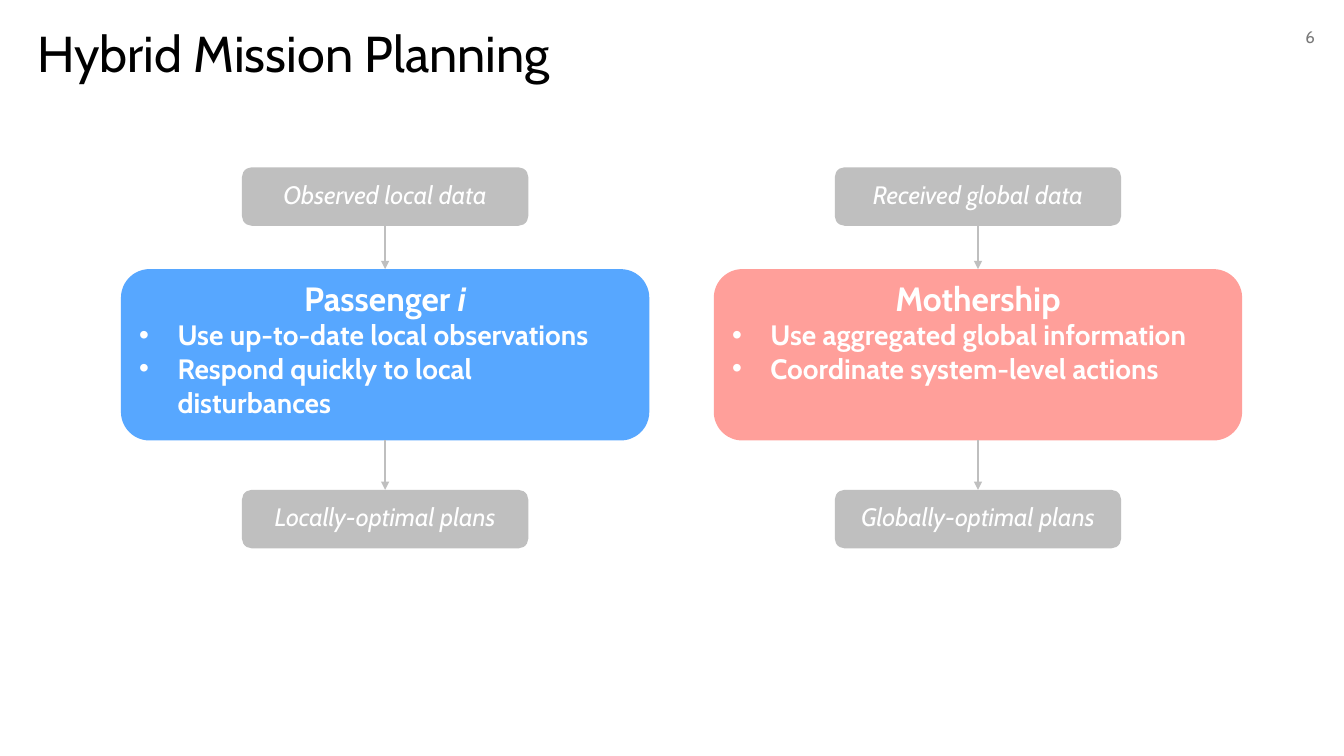
from lxml import etree
from pptx import Presentation
from pptx.dml.color import RGBColor
from pptx.enum.shapes import MSO_CONNECTOR, MSO_SHAPE
from pptx.enum.text import MSO_ANCHOR, PP_ALIGN
from pptx.oxml.ns import qn
from pptx.util import Pt

ROUNDED = MSO_SHAPE.ROUNDED_RECTANGLE
STRAIGHT = MSO_CONNECTOR.STRAIGHT
TOP, MIDDLE = MSO_ANCHOR.TOP, MSO_ANCHOR.MIDDLE
LEFT, CENTER, RIGHT = PP_ALIGN.LEFT, PP_ALIGN.CENTER, PP_ALIGN.RIGHT
TOP_SIDE, BOTTOM_SIDE = 0, 2

BLACK = RGBColor(0x00, 0x00, 0x00)
WHITE = RGBColor(0xFF, 0xFF, 0xFF)
GRAY = RGBColor(0xBF, 0xBF, 0xBF)
NUMBER_GRAY = RGBColor(0x79, 0x79, 0x79)
BLUE = RGBColor(0x57, 0xA7, 0xFF)
PINK = RGBColor(0xFF, 0x9F, 0x9A)
FONT = "Cabin"

# Content
TITLE = "Hybrid Mission Planning"
PAGE_NUMBER = "6"
PLANNERS = [
    {
        "input": "Observed local data",
        "heading": [("Passenger ", False), ("i", True)],
        "points": ["Use up-to-date local observations",
                   "Respond quickly to local disturbances"],
        "output": "Locally-optimal plans",
        "color": BLUE,
    },
    {
        "input": "Received global data",
        "heading": [("Mothership", False)],
        "points": ["Use aggregated global information",
                   "Coordinate system-level actions"],
        "output": "Globally-optimal plans",
        "color": PINK,
    },
]

# Layout in px, 100 to the inch
EMU_PER_PX = 9144
PAGE_WIDTH, PAGE_HEIGHT = 1333, 750
CARD_LEFT, CARD_TOP, CARD_WIDTH, CARD_HEIGHT = 120, 267, 524, 170
COLUMN_STEP = 588
DATA_WIDTH, DATA_HEIGHT = 284, 58
INPUT_TOP, OUTPUT_TOP = 166, 486
SIDE_INSET, BOTTOM_INSET = 10, 5
BULLET_INDENT = 38


def px(length):
    return length * EMU_PER_PX


def set_font(font, size, color, bold=False, italic=None):
    font.name = FONT
    font.size = Pt(size)
    font.color.rgb = color
    font.bold = bold
    font.italic = italic


def add_label(page, text, left, top, width, height, size, color, align, anchor):
    box = page.shapes.add_textbox(px(left), px(top), px(width), px(height))
    frame = box.text_frame
    frame.word_wrap = True
    frame.vertical_anchor = anchor
    para = frame.paragraphs[0]
    para.text = text
    para.alignment = align
    set_font(para.font, size, color)


def add_box(page, left, top, width, height, color, anchor):
    box = page.shapes.add_shape(ROUNDED, px(left), px(top), px(width), px(height))
    box.shadow.inherit = False
    box.fill.solid()
    box.fill.fore_color.rgb = color
    box.line.fill.background()
    frame = box.text_frame
    frame.word_wrap = True
    frame.vertical_anchor = anchor
    frame.margin_left = frame.margin_right = px(SIDE_INSET)
    frame.margin_top = 0
    frame.margin_bottom = px(BOTTOM_INSET)
    return box


def add_data_box(page, text, center, top):
    box = add_box(page, center - DATA_WIDTH // 2, top, DATA_WIDTH, DATA_HEIGHT,
                  GRAY, MIDDLE)
    para = box.text_frame.paragraphs[0]
    para.text = text
    para.alignment = CENTER
    set_font(para.font, 18, WHITE, italic=True)
    return box


def add_card(page, planner, left):
    card = add_box(page, left, CARD_TOP, CARD_WIDTH, CARD_HEIGHT,
                   planner["color"], TOP)
    frame = card.text_frame
    heading = frame.paragraphs[0]
    heading.alignment = CENTER
    set_font(heading.font, 24, WHITE, bold=True)
    for text, italic in planner["heading"]:
        span = heading.add_run()
        span.text = text
        if italic:
            span.font.italic = True
    for point in planner["points"]:
        para = frame.add_paragraph()
        para.text = point
        para.alignment = LEFT
        properties = para._p.get_or_add_pPr()
        properties.set("marL", str(px(BULLET_INDENT)))
        properties.set("indent", str(-px(BULLET_INDENT)))
        etree.SubElement(properties, qn("a:buFont"), typeface="Arial")
        etree.SubElement(properties, qn("a:buChar"), char="•")
        set_font(para.font, 20, WHITE, bold=True)
    return card


def add_arrow(page, upper, lower):
    arrow = page.shapes.add_connector(STRAIGHT, 0, 0, 0, 0)
    arrow.begin_connect(upper, BOTTOM_SIDE)
    arrow.end_connect(lower, TOP_SIDE)
    arrow.line.color.rgb = GRAY
    arrow.line.width = Pt(1.5)
    etree.SubElement(arrow.line._get_or_add_ln(), qn("a:tailEnd"), type="triangle")
    etree.SubElement(arrow._element.spPr, qn("a:effectLst"))


def main():
    deck = Presentation()
    deck.slide_width, deck.slide_height = px(PAGE_WIDTH), px(PAGE_HEIGHT)
    page = deck.slides.add_slide(deck.slide_layouts[6])

    # Page number and title
    add_label(page, PAGE_NUMBER, 1014, 17, 300, 40, 12, NUMBER_GRAY, RIGHT, MIDDLE)
    add_label(page, TITLE, 27, 17, 1137, 71, 36, BLACK, LEFT, TOP)

    # One column per planner: input, card, output
    for column, planner in enumerate(PLANNERS):
        left = CARD_LEFT + column * COLUMN_STEP
        center = left + CARD_WIDTH // 2
        card = add_card(page, planner, left)
        source = add_data_box(page, planner["input"], center, INPUT_TOP)
        result = add_data_box(page, planner["output"], center, OUTPUT_TOP)
        add_arrow(page, source, card)
        add_arrow(page, card, result)

    deck.save("out.pptx")


if __name__ == "__main__":
    main()
